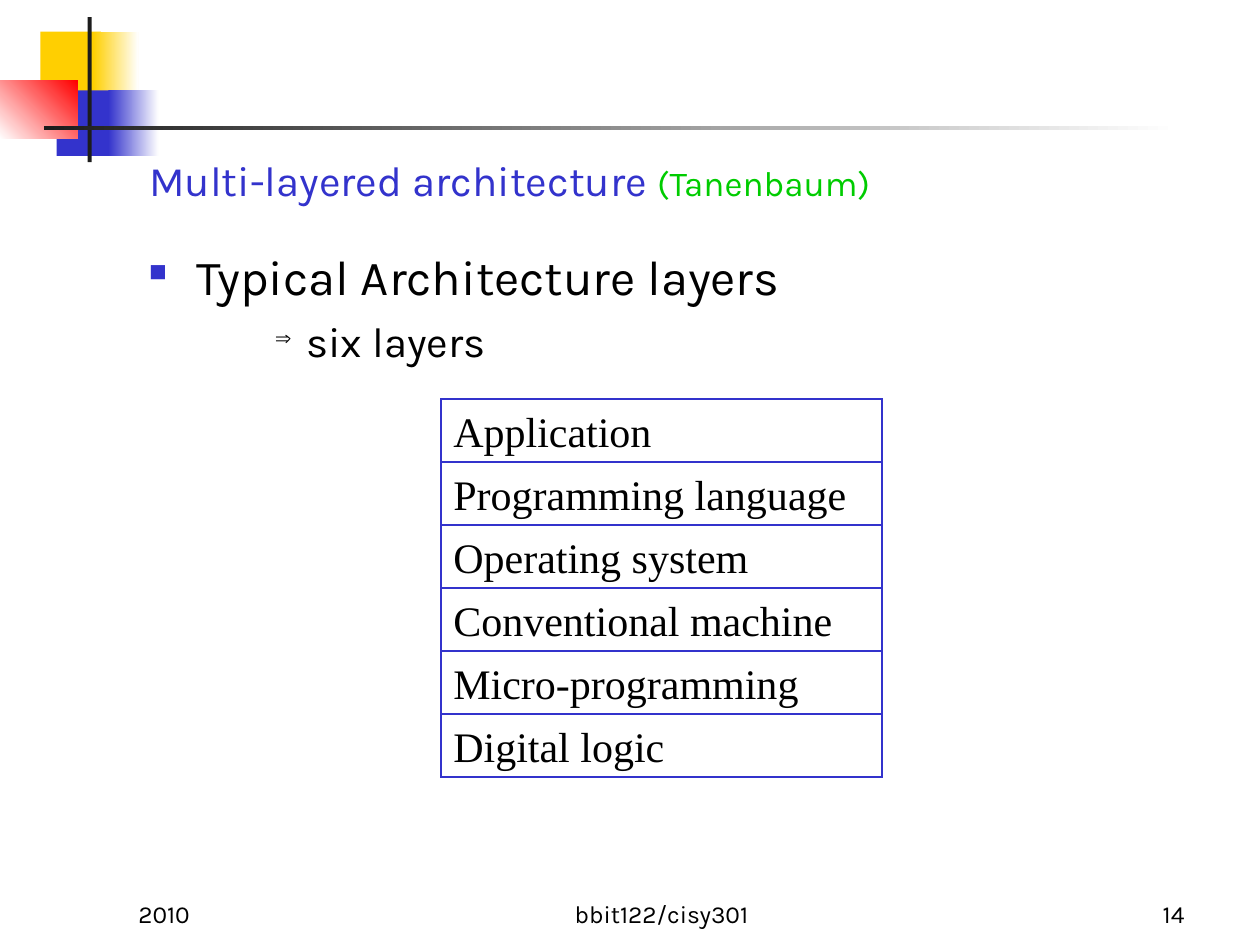
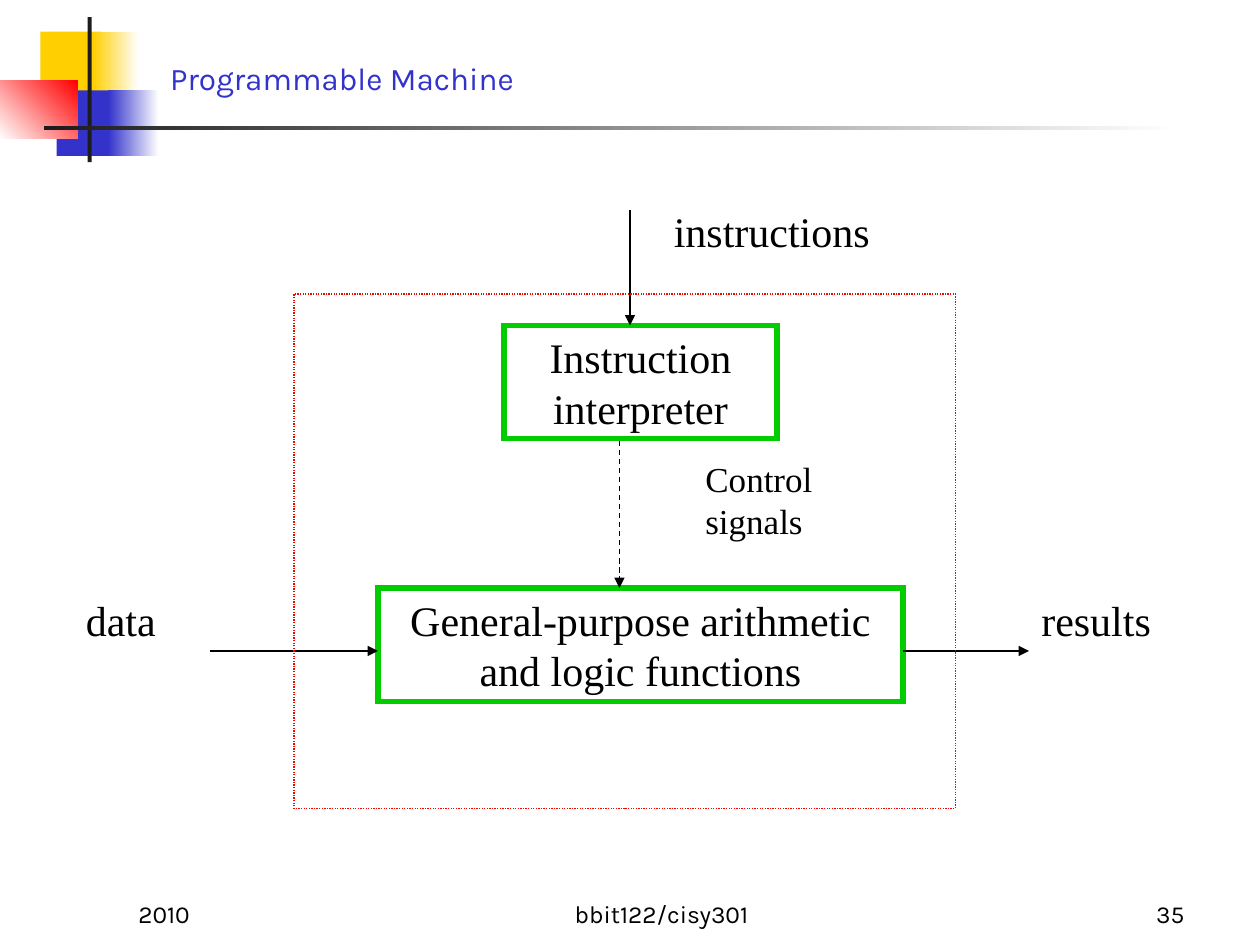
from lxml import etree
from pptx import Presentation
from pptx import util as u
from pptx.dml.color import RGBColor
from pptx.enum import dml, shapes, text
from pptx.oxml.ns import qn

COLORS = {"blue": "3333CC", "green": "00CC00", "red": "FF0000", "yellow": "FFCF01",
          "ink": "1C1C1C", "black": "000000", "white": "FFFFFF"}
COLUMNS, ROWS = 120, 90
WIDTH, HEIGHT = u.Inches(10), u.Inches(7.5)
HEADING_FONT, DIAGRAM_FONT = "Karla", "Times New Roman"
LEFT, CENTER, RIGHT = text.PP_ALIGN.LEFT, text.PP_ALIGN.CENTER, text.PP_ALIGN.RIGHT
TOP, BOTTOM = text.MSO_ANCHOR.TOP, text.MSO_ANCHOR.BOTTOM

DECORATION = [
    ((3.84, 3, 5.76, 6.24), ["yellow"], 0),
    ((8.88, 3, 4.32, 6.24), ["yellow", "white"], 0),
    ((5.4, 8.6, 5.52, 6.24), ["blue"], 0),
    ((10.32, 8.6, 4.8, 6.24), ["blue", "white"], 0),
    ((0, 7.68, 7.4, 5.52), ["white", "red"], 45),
    ((8.34, 1.64, 0.4, 13.8), ["ink"], 0),
    ((4.2, 12, 108, 0.4), ["ink", "white"], 0),
]
FOOTER_ROW, FOOTER_HEIGHT = 83, 6
FOOTERS = [(12, 25, LEFT), (44, 38, CENTER), (89, 25, RIGHT)]
FOOTER_TEXTS = ["2010", "bbit122/cisy301"]

LAYERED_TITLE = [("Multi-layered architecture ", 24, "blue"), ("(Tanenbaum)", 20, "green")]
LAYER_BULLETS = [
    ("Typical Architecture layers", 28, 0, "■", "blue", 50, 0.38, -0.38, 0),
    ("six layers", 24, 2, "⇒", "black", 50, 1.25, -0.25, 5.5),
]
LAYERS = ["Application", "Programming language", "Operating system",
          "Conventional machine", "Micro-programming", "Digital logic"]
STACK_LEFT, STACK_TOP, STACK_WIDTH, LAYER_HEIGHT = 42, 38, 42, 6

MACHINE_TITLE = [("Programmable Machine", 18, "blue")]
UNITS = [
    ("Instruction interpreter", (48, 31, 26, 10.8)),
    ("General-purpose arithmetic and logic functions", (36, 56, 50, 10.8)),
]
LABELS = [
    ("instructions", (63, 19, 31, 6), 24),
    ("data", (7, 56, 18, 6), 24),
    ("results", (98, 56, 19, 6), 24),
    ("Control signals", (66, 43, 18, 9.2), 20),
]
ARROWS = [
    ((60, 20, 60, 31), False),
    ((59, 42, 59, 56), True),
    ((20, 62, 36, 62), False),
    ((86, 62, 98, 62), False),
]
MACHINE_FRAME = (28, 28, 63, 49)


def color(name):
    return RGBColor.from_string(COLORS[name])


def place(cells):
    steps = (WIDTH / COLUMNS, HEIGHT / ROWS) * 2
    return [round(cell * step) for cell, step in zip(cells, steps)]


def format_frame(shape, anchor=TOP):
    frame = shape.text_frame
    frame.word_wrap = True
    frame.auto_size = text.MSO_AUTO_SIZE.NONE
    frame.vertical_anchor = anchor
    frame.margin_left = frame.margin_right = u.Inches(0.1)
    frame.margin_top = frame.margin_bottom = u.Inches(0.05)
    return frame


def write(paragraph, content, font=DIAGRAM_FONT, size=24, fill="black", align=LEFT):
    paragraph.alignment = align
    run = paragraph.add_run()
    run.text = content
    run.font.name, run.font.size = font, u.Pt(size)
    run.font.bold = False
    run.font.color.rgb = color(fill)


def add_box(slide, cells, line=None, width=0.75):
    shape = slide.shapes.add_shape(shapes.MSO_SHAPE.RECTANGLE, *place(cells))
    shape.shadow.inherit = False
    shape.fill.background()
    if line:
        shape.line.color.rgb = color(line)
        shape.line.width = u.Pt(width)
        etree.SubElement(shape.element.spPr.find(qn("a:ln")), qn("a:miter"), lim="800000")
    else:
        shape.line.fill.background()
    return shape


def add_text(slide, content, cells, anchor=TOP, **style):
    box = slide.shapes.add_textbox(*place(cells))
    write(format_frame(box, anchor).paragraphs[0], content, **style)


def add_text_box(slide, content, cells, line, width, align=LEFT):
    box = add_box(slide, cells, line, width)
    write(format_frame(box).paragraphs[0], content, align=align)


def add_arrow(slide, ends, dashed):
    arrow = slide.shapes.add_connector(shapes.MSO_CONNECTOR.STRAIGHT, *place(ends))
    arrow.line.color.rgb = color("black")
    arrow.line.width = u.Pt(0.75)
    if dashed:
        arrow.line.dash_style = dml.MSO_LINE.DASH
    properties = arrow.element.spPr
    etree.SubElement(properties.find(qn("a:ln")), qn("a:tailEnd"), type="triangle")
    etree.SubElement(properties, qn("a:effectLst"))


def add_bullet(paragraph, symbol, fill, percent, margin, indent):
    properties = paragraph._p.get_or_add_pPr()
    properties.set("marL", str(u.Inches(margin)))
    properties.set("indent", str(u.Inches(indent)))
    bullet_color = etree.SubElement(properties, qn("a:buClr"))
    etree.SubElement(bullet_color, qn("a:srgbClr"), val=COLORS[fill])
    etree.SubElement(properties, qn("a:buSzPct"), val=str(percent * 1000))
    etree.SubElement(properties, qn("a:buChar"), char=symbol)


def start_slide(presentation, title_runs, title_cells, number):
    slide = presentation.slides.add_slide(presentation.slide_layouts[5])
    for cells, fills, angle in DECORATION:
        fill = add_box(slide, cells).fill
        if len(fills) == 1:
            fill.solid()
            fill.fore_color.rgb = color(fills[0])
        else:
            fill.gradient()
            fill.gradient_angle = angle
            for stop, name, position in zip(fill.gradient_stops, fills, (0, 1)):
                stop.color.rgb = color(name)
                stop.position = position
    for (left, width, align), content in zip(FOOTERS, FOOTER_TEXTS + [number]):
        add_text(slide, content, (left, FOOTER_ROW, width, FOOTER_HEIGHT), BOTTOM,
                 font=HEADING_FONT, size=14, align=align)
    title = slide.shapes.title
    title.left, title.top, title.width, title.height = place(title_cells)
    paragraph = format_frame(title, BOTTOM).paragraphs[0]
    for content, size, fill in title_runs:
        write(paragraph, content, font=HEADING_FONT, size=size, fill=fill)
    return slide


def build_layers(presentation):
    slide = start_slide(presentation, LAYERED_TITLE, (13, 14.1, 76, 6), "14")
    frame = format_frame(slide.shapes.add_textbox(*place((13, 22.9, 76, 13.6))))
    for index, (content, size, level, symbol, fill, percent, margin, indent, before) in enumerate(LAYER_BULLETS):
        paragraph = frame.add_paragraph() if index else frame.paragraphs[0]
        paragraph.level = level
        paragraph.space_before = u.Pt(before)
        add_bullet(paragraph, symbol, fill, percent, margin, indent)
        write(paragraph, content, font=HEADING_FONT, size=size)
    for index, layer in enumerate(LAYERS):
        top = STACK_TOP + index * LAYER_HEIGHT
        add_text_box(slide, layer, (STACK_LEFT, top, STACK_WIDTH, LAYER_HEIGHT), "blue", 0.75)


def build_machine(presentation):
    slide = start_slide(presentation, MACHINE_TITLE, (15, 3.8, 97, 6), "35")
    for content, cells in UNITS:
        add_text_box(slide, content, cells, "green", 3, CENTER)
    for content, cells, size in LABELS:
        add_text(slide, content, cells, size=size)
    for ends, dashed in ARROWS:
        add_arrow(slide, ends, dashed)
    add_box(slide, MACHINE_FRAME, "red").line.dash_style = dml.MSO_LINE.ROUND_DOT


def main():
    presentation = Presentation()
    presentation.slide_width, presentation.slide_height = WIDTH, HEIGHT
    build_layers(presentation)
    build_machine(presentation)
    presentation.save("out.pptx")


if __name__ == "__main__":
    main()
